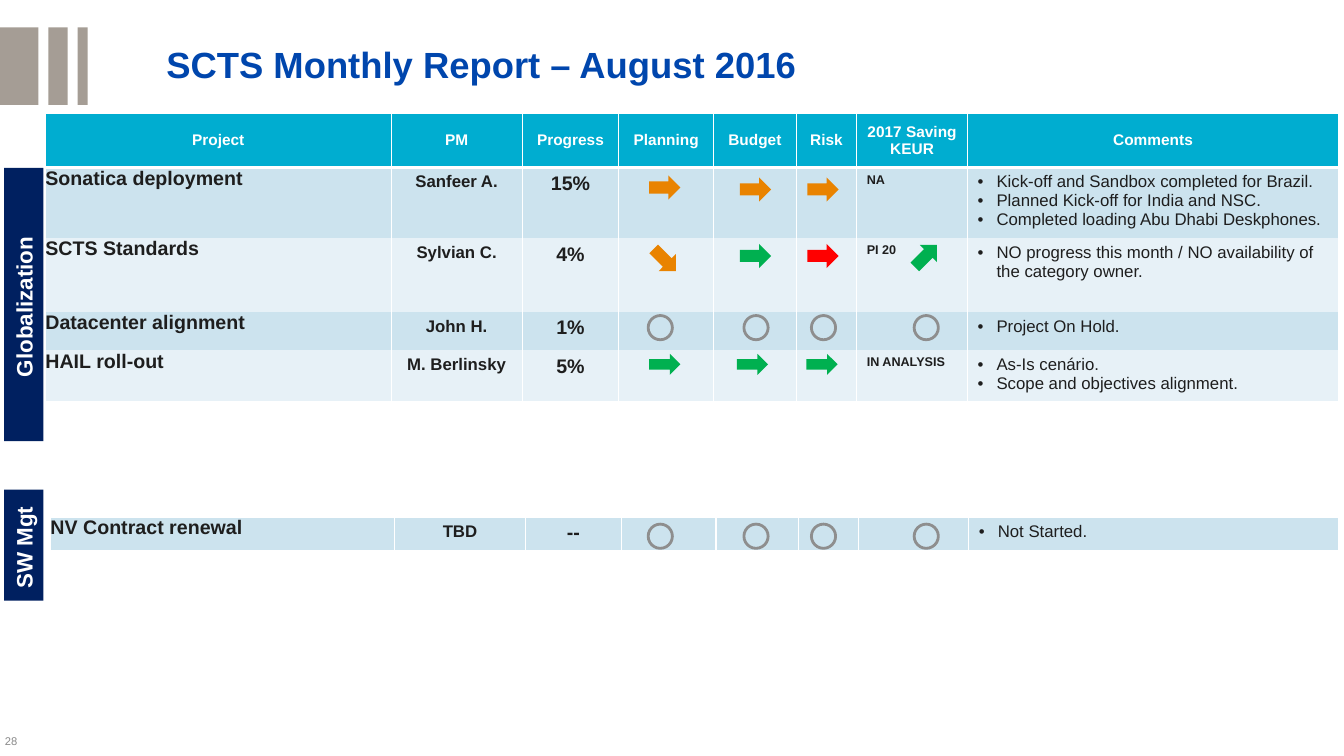
from lxml.etree import SubElement
from pptx import Presentation
from pptx.dml.color import RGBColor
from pptx.enum.shapes import MSO_SHAPE
from pptx.enum.text import MSO_ANCHOR, PP_ALIGN
from pptx.oxml.ns import qn
from pptx.util import Pt

WHITE, NAVY, BLUE, CYAN = "FFFFFF", "002060", "0046AD", "00ADD0"
STRIPE, DARK, MUTED, RING = "A59D95", "1E1E1E", "898989", "8E8E8E"
BANDS = ("CCE3EE", "E7F1F7")
GREEN, ORANGE, RED = "00B050", "E98300", "FF0000"

COLUMN_WIDTHS = (247, 93.6, 69.1, 67.7, 59, 43.2, 79.2, 265)
HEADERS = ("Project", "PM", "Progress", "Planning", "Budget", "Risk",
           "2017 Saving\nKEUR", "Comments")
GLOBAL_PROJECTS = (
    ("Sonatica deployment", "Sanfeer A.", "15%", "", "", "", "NA",
     "Kick-off and Sandbox completed for Brazil.\n"
     "Planned Kick-off for India and NSC.\n"
     "Completed loading Abu Dhabi Deskphones."),
    ("SCTS Standards", "Sylvian C.", "4%", "", "", "", "PI 20",
     "NO progress this month / NO availability of the category owner."),
    ("Datacenter alignment", "John H.", "1%", "", "", "", "", "Project On Hold."),
    ("HAIL roll-out", "M. Berlinsky", "5%", "", "", "", "IN ANALYSIS",
     "As-Is cenário.\nScope and objectives alignment."),
)
SOFTWARE_PROJECT = ("NV Contract renewal", "TBD", "--", "", "", "", "", "Not Started.")
# Size and alignment of the body text in each column
COLUMN_STYLES = ((14, PP_ALIGN.LEFT), (12, PP_ALIGN.CENTER), (14, PP_ALIGN.CENTER),
                 *[(9, PP_ALIGN.LEFT)] * 4, (12, PP_ALIGN.LEFT))
COMMENTS = len(HEADERS) - 1

# Left, top, height, rotation, colour
ARROWS = (
    (463.7, 125.3, 17.3, 0, ORANGE), (528.5, 126.7, 17.3, 0, ORANGE),
    (576.7, 126.7, 17.3, 0, ORANGE),
    (463.7, 177.1, 17.3, 45, ORANGE), (528.5, 174.2, 17.3, 0, GREEN),
    (576.7, 174.2, 17.3, 0, RED), (650.2, 174.2, 17.3, 315, GREEN),
    (463.7, 252.7, 15.1, 0, GREEN), (526.3, 252.7, 15.1, 0, GREEN),
    (576, 252.7, 15.1, 0, GREEN),
)
RING_LEFTS = (463, 531.4, 579.6, 653)
RING_TOPS = (225.4, 374.4)


def rgb(color):
    return RGBColor.from_string(color)


def write(frame, text, size, color, bold=True, align=PP_ALIGN.LEFT, bullets=False):
    """Put each line of the text in a paragraph of its own."""
    frame.word_wrap = True
    for index, line in enumerate(text.split("\n")):
        paragraph = frame.paragraphs[0] if index == 0 else frame.add_paragraph()
        paragraph.text = line
        paragraph.alignment = align
        if bullets:
            properties = paragraph._p.get_or_add_pPr()
            properties.set("marL", str(Pt(13.5)))
            properties.set("indent", str(-Pt(13.5)))
            SubElement(properties, qn("a:buFont"), typeface="Arial")
            SubElement(properties, qn("a:buChar"), char="•")
        font = paragraph.font
        font.name, font.size, font.bold = "Arial", Pt(size), bold
        font.color.rgb = rgb(color)


def set_margins(holder, left, top, right, bottom):
    holder.margin_left, holder.margin_top = Pt(left), Pt(top)
    holder.margin_right, holder.margin_bottom = Pt(right), Pt(bottom)


def add_text(slide, left, top, width, height, text, size, color, bold, align):
    box = slide.shapes.add_textbox(Pt(left), Pt(top), Pt(width), Pt(height))
    frame = box.text_frame
    frame.vertical_anchor = MSO_ANCHOR.MIDDLE
    write(frame, text, size, color, bold, align)
    return frame


def add_filled(slide, kind, left, top, width, height, color, rotation=0):
    shape = slide.shapes.add_shape(kind, Pt(left), Pt(top), Pt(width), Pt(height))
    shape.shadow.inherit = False
    shape.fill.solid()
    shape.fill.fore_color.rgb = rgb(color)
    shape.line.fill.background()
    shape.rotation = rotation
    return shape


def add_ring(slide, left, top):
    ring = slide.shapes.add_shape(MSO_SHAPE.OVAL, Pt(left), Pt(top), Pt(17.3), Pt(17.3))
    ring.shadow.inherit = False
    ring.fill.background()
    ring.line.color.rgb = rgb(RING)
    ring.line.width = Pt(2)


def add_side_label(slide, left, top, width, text):
    label = add_filled(slide, MSO_SHAPE.RECTANGLE, left, top, width, 28.1, NAVY, 270)
    frame = label.text_frame
    set_margins(frame, 5.8, 5, 9.4, 5)
    frame.vertical_anchor = MSO_ANCHOR.MIDDLE
    write(frame, text, 16, WHITE, align=PP_ALIGN.CENTER)


def style_cell(cell, color, top=0, bottom=0):
    """Set white borders, a width of 0 meaning none, and then the fill."""
    properties = cell._tc.get_or_add_tcPr()
    for side, width in (("L", 1), ("R", 1), ("T", top), ("B", bottom)):
        line = SubElement(properties, qn(f"a:ln{side}"), w=str(Pt(width)))
        if width:
            SubElement(SubElement(line, qn("a:solidFill")), qn("a:srgbClr"), val=WHITE)
        else:
            SubElement(line, qn("a:noFill"))
    if color:
        cell.fill.solid()
        cell.fill.fore_color.rgb = rgb(color)
    else:
        cell.fill.background()


def add_grid(slide, left, top, row_heights, scale=1):
    widths = [width * scale for width in COLUMN_WIDTHS]
    table = slide.shapes.add_table(
        len(row_heights), len(widths), Pt(left), Pt(top),
        Pt(sum(widths)), Pt(sum(row_heights))).table
    for column, width in zip(table.columns, widths):
        column.width = Pt(width)
    for row, height in zip(table.rows, row_heights):
        row.height = Pt(height)
    return table


def fill_project(row, values, color, top=0, bottom=0):
    for index, (cell, value) in enumerate(zip(row.cells, values)):
        size, align = COLUMN_STYLES[index]
        if index == 0 or not value:
            set_margins(cell, 0, 0, 0, 0)
        if value:
            comment = index == COMMENTS
            write(cell.text_frame, value, size, DARK, not comment, align, comment)
        style_cell(cell, color, top, bottom)


def add_global_table(slide):
    table = add_grid(slide, 32.4, 80.8, (38.9, 47.5, 52.6, 27.6, 33.1))
    for cell, header in zip(table.rows[0].cells, HEADERS):
        cell.vertical_anchor = MSO_ANCHOR.MIDDLE
        write(cell.text_frame, header, 11, WHITE, align=PP_ALIGN.CENTER)
        style_cell(cell, CYAN, 1, 3)
    for index, project in enumerate(GLOBAL_PROJECTS):
        fill_project(table.rows[index + 1], project, BANDS[index % 2],
                     top=3 if index == 0 else 0)


def add_software_table(slide):
    table = add_grid(slide, 36, 345.6, (23.8, 21.6), scale=0.996)
    fill_project(table.rows[0], [""] * len(HEADERS), None)
    fill_project(table.rows[1], SOFTWARE_PROJECT, BANDS[0], 1, 1)


def main():
    presentation = Presentation()
    presentation.slide_width, presentation.slide_height = Pt(960), Pt(540)
    slide = presentation.slides.add_slide(presentation.slide_layouts[6])

    for left, width in ((55.4, 7.2), (34.6, 13.7), (0, 27.4)):
        add_filled(slide, MSO_SHAPE.RECTANGLE, left, 19.5, width, 55.5, STRIPE)
    add_text(slide, -28.1, 519.1, 47.5, 20.2, "28", 8, MUTED, False, PP_ALIGN.RIGHT)
    title = add_text(slide, 118.8, 20.2, 818, 54.7, "SCTS Monthly Report – August 2016",
                     26, BLUE, True, PP_ALIGN.LEFT)
    set_margins(title, 0, 0, 0, 0)
    title.paragraphs[0].line_spacing = 0.9

    add_global_table(slide)
    add_side_label(slide, -80.6, 203.4, 195.1, "Globalization")
    add_software_table(slide)
    add_side_label(slide, -22.6, 375.3, 79.2, "SW Mgt")

    for left, top, height, rotation, color in ARROWS:
        add_filled(slide, MSO_SHAPE.RIGHT_ARROW, left, top, 22.3, height, color, rotation)
    for top in RING_TOPS:
        for left in RING_LEFTS:
            add_ring(slide, left, top)
    presentation.save("out.pptx")


if __name__ == "__main__":
    main()
